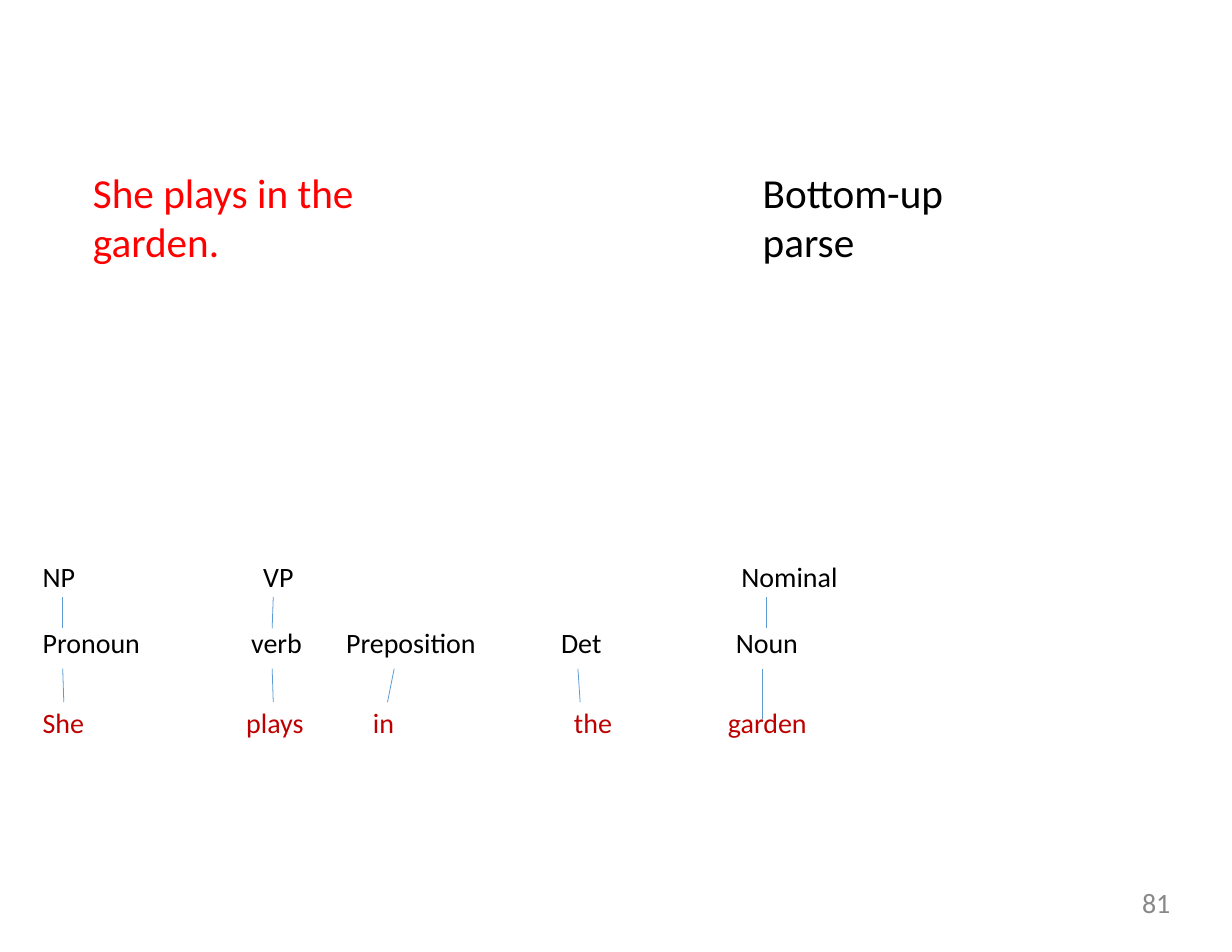
"""Build the bottom-up parse slide for the sentence 'She plays in the garden.'"""
from lxml import etree
from pptx import Presentation, util as u
from pptx.dml.color import RGBColor
from pptx.enum import shapes, text

COLOURS = {"sentence": "FF0000", "body": "000000", "word": "BE0000",
           "branch": "5B9AD3", "number": "888888"}
ALIGN = {"left": text.PP_ALIGN.LEFT, "centre": text.PP_ALIGN.CENTER,
         "right": text.PP_ALIGN.RIGHT}

HEADINGS = [
    ("She plays in the garden.", (0.82, 1.48, 3.47, 0.47),
     dict(size=26.5, colour="sentence", indent=0.01)),
    ("Bottom-up parse", (6.8, 1.48, 2.5, 0.47), dict(size=26.5, indent=0.01)),
    ("81", (7.92, 7.91, 2.53, 0.42), dict(colour="number", align="right")),
]

COLUMNS = [1.49, 1.17, 1.73, 1.33, 1.66]
LEVELS = [
    dict(height=0.45, top=0, spacing=0.95, colour="body",
         labels=["NP", "VP", "", "", "Nominal"],
         indents=[0.14, 0.34, 0, 0, 0.66], centred=[1]),
    dict(height=0.65, top=0.14, spacing=None, colour="body",
         labels=["Pronoun", "verb", "Preposition", "Det", "Noun"],
         indents=[0.14, 0.31, 0.19, 0.38, 0.61], centred=[1]),
    dict(height=0.45, top=0.14, spacing=1.19, colour="word",
         labels=["She", "plays", "in", "the", "garden"],
         indents=[0.14, 0.28, 0.43, 0, 0.54], centred=[1, 3]),
]
TREE_LEFT, TREE_TOP = 0.24, 5.01

BRANCHES = [
    (5.33, 5.61, [(0.56, 0.56), (2.44, 2.43), (6.84, 6.84)]),
    (5.97, 6.27, [(0.56, 0.57), (2.43, 2.44), (3.52, 3.46), (5.16, 5.18)]),
    (5.97, 6.42, [(6.81, 6.81)]),
]


def write(frame, content, size=18, colour="body", align="left", indent=0, spacing=None):
    paragraph = frame.paragraphs[0]
    paragraph.alignment = ALIGN[align]
    paragraph._p.get_or_add_pPr().set("marL", str(u.Inches(indent)))
    if spacing:
        paragraph.line_spacing = spacing
    run = paragraph.add_run()
    run.text = content
    run.font.name = "Calibri"
    run.font.size = u.Pt(size)
    run.font.color.rgb = RGBColor.from_string(COLOURS[colour])


def add_heading(slide, content, place, style):
    frame = slide.shapes.add_textbox(*map(u.Inches, place)).text_frame
    frame.word_wrap = True
    frame.margin_left = frame.margin_right = frame.margin_bottom = 0
    frame.margin_top = u.Inches(0.01 if "indent" in style else 0)
    write(frame, content, **style)


def add_tree(slide):
    heights = [level["height"] for level in LEVELS]
    tree = slide.shapes.add_table(
        len(LEVELS), len(COLUMNS),
        *map(u.Inches, (TREE_LEFT, TREE_TOP, sum(COLUMNS), sum(heights)))).table
    tree.first_row = tree.horz_banding = False
    for column, width in zip(tree.columns, COLUMNS):
        column.width = u.Inches(width)
    for row, level in zip(tree.rows, LEVELS):
        row.height = u.Inches(level["height"])
        for index, cell in enumerate(row.cells):
            cell.fill.background()
            cell.margin_left = cell.margin_right = cell.margin_bottom = 0
            cell.margin_top = u.Inches(level["top"])
            if level["labels"][index]:
                write(cell.text_frame, level["labels"][index], colour=level["colour"],
                      align="centre" if index in level["centred"] else "left",
                      indent=level["indents"][index], spacing=level["spacing"])


def add_branch(slide, upper, lower):
    branch = slide.shapes.add_connector(
        shapes.MSO_CONNECTOR.STRAIGHT, *map(u.Inches, upper + lower))
    branch.line.color.rgb = RGBColor.from_string(COLOURS["branch"])
    branch.line.width = u.Pt(0.5)
    etree.SubElement(branch._element.spPr,
                     "{http://schemas.openxmlformats.org/drawingml/2006/main}effectLst")


def main():
    deck = Presentation()
    deck.slide_width, deck.slide_height = u.Inches(11), u.Inches(8.5)
    slide = deck.slides.add_slide(deck.slide_layouts[6])
    for heading in HEADINGS:
        add_heading(slide, *heading)
    add_tree(slide)
    for top, bottom, ends in BRANCHES:
        for upper, lower in ends:
            add_branch(slide, (upper, top), (lower, bottom))
    deck.save("out.pptx")


if __name__ == "__main__":
    main()
